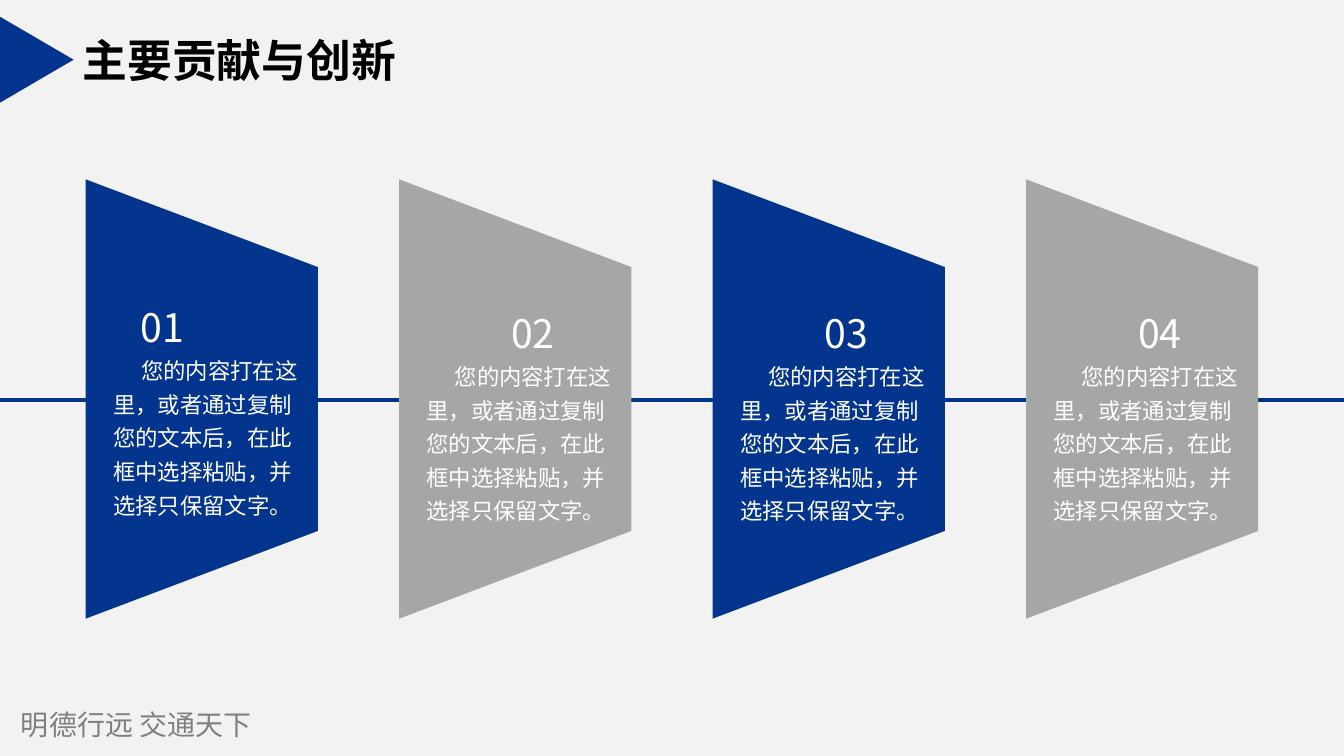
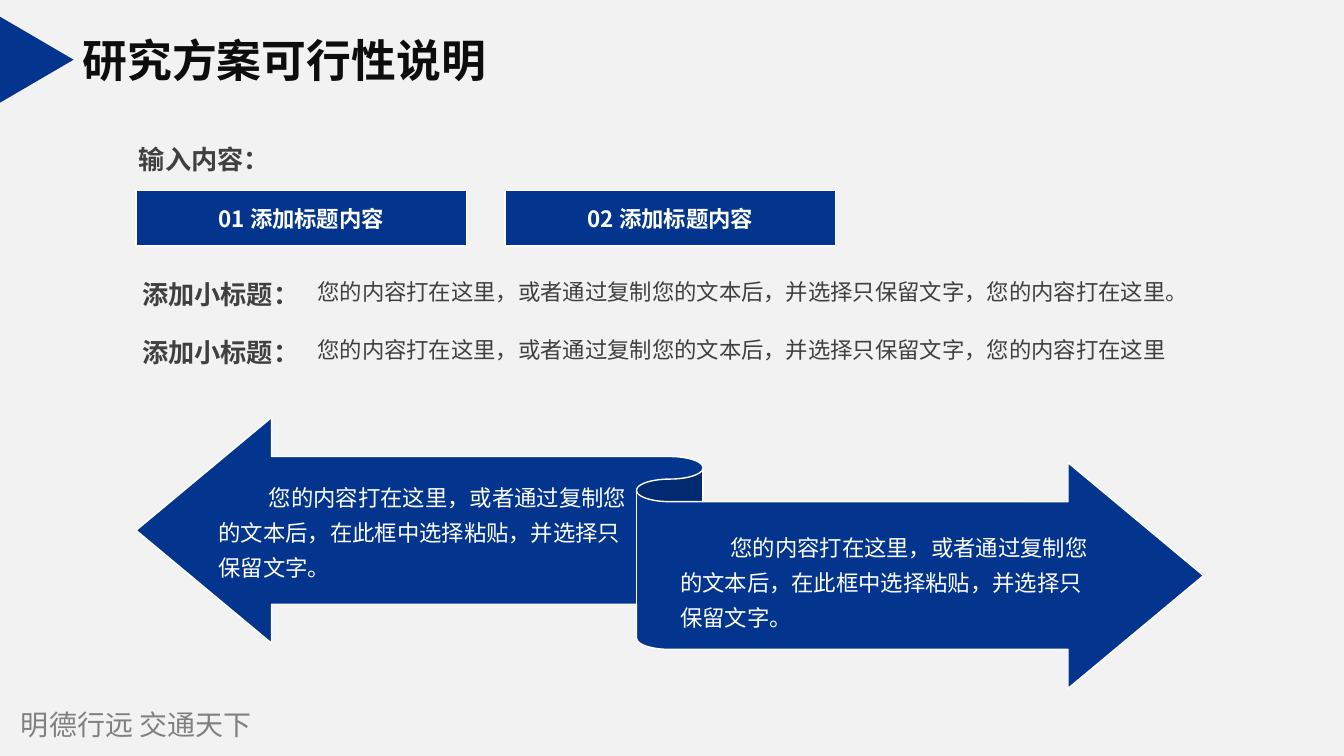
from lxml import etree
from pptx import Presentation
from pptx.dml.color import RGBColor
from pptx.enum.lang import MSO_LANGUAGE_ID
from pptx.enum.shapes import MSO_CONNECTOR, MSO_SHAPE
from pptx.enum.text import MSO_ANCHOR, MSO_AUTO_SIZE, PP_ALIGN
from pptx.oxml.ns import qn
from pptx.util import Cm, Pt

LEFT, CENTER = PP_ALIGN.LEFT, PP_ALIGN.CENTER
TOP, MIDDLE = MSO_ANCHOR.TOP, MSO_ANCHOR.MIDDLE
CHINESE = MSO_LANGUAGE_ID.SIMPLIFIED_CHINESE
TITLE_ONLY = 5

COLORS = {
    "blue": "03358E",
    "grey": "A6A6A6",
    "back": "F2F2F2",
    "white": "FFFFFF",
    "text": "404040",
    "footer": "808080",
    "black": "000000",
    "ink": "0D0D0D",
}
FONT = "Noto Sans CJK SC"
FOOTER_FONT = "Noto Sans CJK JP"
TITLE_FONT = "Arial"

FOOTER = "明德行远 交通天下"
PASTE = "您的内容打在这里，或者通过复制您的文本后，在此框中选择粘贴，并选择只保留文字。"
KEEP = "您的内容打在这里，或者通过复制您的文本后，并选择只保留文字，您的内容打在这里"

CONTRIBUTIONS = {
    "title": "主要贡献与创新",
    "cards": [
        ("01", "blue", LEFT, 1.0, 7.52),
        ("02", "grey", CENTER, 1.25, 7.37),
        ("03", "blue", CENTER, 1.25, 7.37),
        ("04", "grey", CENTER, 1.25, 7.37),
    ],
}
FEASIBILITY = {
    "title": "研究方案可行性说明",
    "heading": "输入内容：",
    "buttons": ["01 添加标题内容", "02 添加标题内容"],
    "rows": [("添加小标题：", KEEP + "。"), ("添加小标题：", KEEP)],
    "arrows": [(5.26, 11.86, PASTE), (16.89, 13.13, PASTE)],
}


def rgb(name):
    return RGBColor.from_string(COLORS[name])


def style(p, size, color, bold=False, align=LEFT, font=FONT, east=FONT, indent=0, spacing=None):
    p.alignment = align
    if indent:
        p._p.get_or_add_pPr().set("indent", str(Cm(indent)))
    if spacing:
        p.line_spacing = spacing
    for r in p.runs:
        r.font.size = Pt(size)
        r.font.bold = bold
        r.font.name = font
        r.font.language_id = CHINESE
        r.font.color.rgb = rgb(color)
        ea = etree.Element(qn("a:ea"), typeface=east)
        r.font._rPr.find(qn("a:latin")).addnext(ea)


def set_margins(tf, side, edge):
    tf.margin_left = tf.margin_right = Cm(side)
    tf.margin_top = tf.margin_bottom = Cm(edge)


def add_text(s, text, box, size, color, anchor=TOP, wrap=True, margins=(0.25, 0.13), **look):
    tf = s.shapes.add_textbox(*map(Cm, box)).text_frame
    tf.word_wrap = wrap
    tf.vertical_anchor = anchor
    set_margins(tf, *margins)
    tf.text = text
    style(tf.paragraphs[0], size, color, **look)
    return tf


def paint(sp, fill, line=None):
    sp.shadow.inherit = False
    sp.fill.solid()
    sp.fill.fore_color.rgb = rgb(fill)
    if line:
        sp.line.color.rgb = rgb(line)
        sp.line.width = Pt(1)
    else:
        sp.line.fill.background()


def add_shape(s, kind, box, line=None):
    sp = s.shapes.add_shape(kind, *map(Cm, box))
    paint(sp, "blue", line)
    return sp


def add_slide(prs, title, color):
    s = prs.slides.add_slide(prs.slide_layouts[TITLE_ONLY])
    sp = s.shapes.title
    sp.left, sp.top, sp.height = Cm(1.75), Cm(0.66), Cm(1.7)
    sp.width = Cm(0.76 + 1.13 * len(title))
    tf = sp.text_frame
    tf.auto_size = MSO_AUTO_SIZE.NONE
    tf.word_wrap = False
    tf.vertical_anchor = MIDDLE
    set_margins(tf, 0.33, 0.18)
    tf.text = title
    style(tf.paragraphs[0], 32, color, bold=True, font=TITLE_FONT)
    marker = add_shape(s, MSO_SHAPE.ISOSCELES_TRIANGLE, (-0.15, 0.58, 2.16, 1.85))
    marker.rotation = 90
    add_text(s, FOOTER, (0.28, 17.7, 10, 1.12), 20, "footer", font=FOOTER_FONT, east=FOOTER_FONT)
    return s


def add_card(s, left, number, fill, align, spacing, text_top):
    top, width, height, slope = 4.52, 5.85, 11.07, 2.21
    right, bottom = left + width, top + height
    corners = [(left, top), (right, top + slope), (right, bottom - slope)]
    outline = s.shapes.build_freeform(Cm(left), Cm(bottom))
    outline.add_line_segments([(Cm(x), Cm(y)) for x, y in corners])
    paint(outline.convert_to_shape(), fill)
    tf = add_text(s, number, (left + 0.28, text_top, 5.33, 5.8), 28, "white",
                  align=align, indent=0.85, spacing=spacing)
    p = tf.add_paragraph()
    p.text = PASTE
    style(p, 16, "white", align=CENTER, indent=0.85, spacing=1.25)


def build_contributions(prs):
    s = add_slide(prs, CONTRIBUTIONS["title"], "black")
    axis = s.shapes.add_connector(MSO_CONNECTOR.STRAIGHT, 0, Cm(10.08), prs.slide_width, Cm(10.08))
    axis.line.color.rgb = rgb("blue")
    axis.line.width = Pt(3)
    etree.SubElement(axis._element.spPr, qn("a:effectLst"))
    for i, card in enumerate(CONTRIBUTIONS["cards"]):
        add_card(s, 2.16 + 7.9 * i, *card)


def build_feasibility(prs):
    s = add_slide(prs, FEASIBILITY["title"], "ink")
    add_text(s, FEASIBILITY["heading"], (3.25, 3.48, 3.84, 1.07), 18.7, "text",
             anchor=MIDDLE, wrap=False, bold=True)
    for i, text in enumerate(FEASIBILITY["buttons"]):
        sp = add_shape(s, MSO_SHAPE.RECTANGLE, (3.43 + 9.3 * i, 4.8, 8.33, 1.4), "white")
        tf = sp.text_frame
        tf.vertical_anchor = MIDDLE
        tf.text = text
        style(tf.paragraphs[0], 16, "white", bold=True, align=CENTER)
    for i, (label, text) in enumerate(FEASIBILITY["rows"]):
        top = 6.83 + 1.46 * i
        add_text(s, label, (3.25, top, 4.67, 1.14), 18.7, "text", anchor=MIDDLE,
                 wrap=False, margins=(0.33, 0.18), bold=True)
        add_text(s, text, (7.75, top + 0.06, 24.5, 0.94), 16, "text")
    ribbon = add_shape(s, MSO_SHAPE.LEFT_RIGHT_RIBBON, (3.43, 10.52, 26.9, 6.83), "white")
    ribbon.adjustments[0] = 0.545
    for left, top, text in FEASIBILITY["arrows"]:
        add_text(s, text, (left, top, 10.8, 2.84), 16, "white", indent=1.27, spacing=1.3)


def main():
    prs = Presentation()
    prs.slide_width, prs.slide_height = Cm(33.87), Cm(19.05)
    fill = prs.slide_master.background.fill
    fill.solid()
    fill.fore_color.rgb = rgb("back")
    build_contributions(prs)
    build_feasibility(prs)
    prs.save("out.pptx")


if __name__ == "__main__":
    main()
